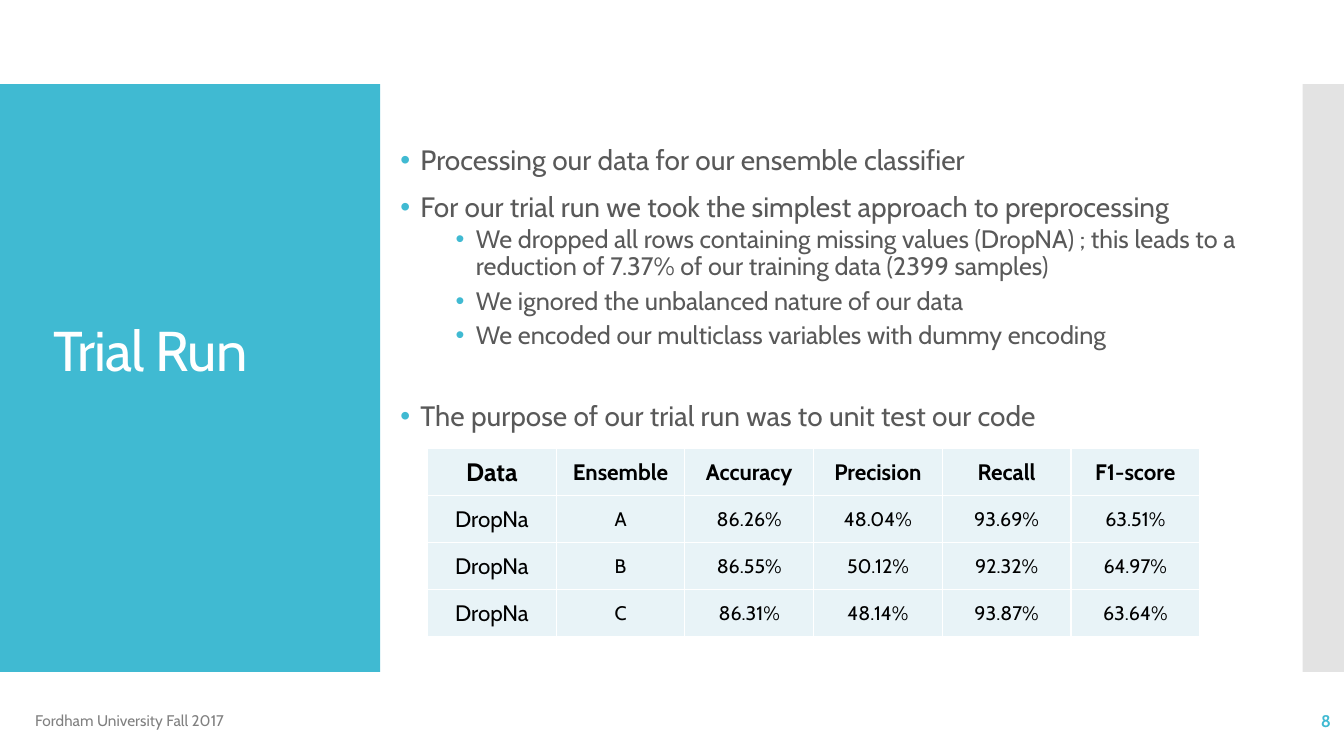
from lxml.etree import SubElement
from pptx import Presentation
from pptx.dml.color import RGBColor
from pptx.enum.shapes import MSO_SHAPE
from pptx.enum.text import MSO_ANCHOR, PP_ALIGN
from pptx.oxml.ns import qn
from pptx.util import Inches, Pt

FONT = "Cabin"
TEAL = RGBColor(0x40, 0xBA, 0xD2)
GREY_BAND = RGBColor(0xC8, 0xC8, 0xC8)
BODY_GREY = RGBColor(0x59, 0x59, 0x59)
FOOTER_GREY = RGBColor(0x80, 0x80, 0x80)
CELL_TINT = RGBColor(0xE8, 0xF3, 0xF7)
WHITE = RGBColor(0xFF, 0xFF, 0xFF)
BLACK = RGBColor(0, 0, 0)

TITLE = "Trial Run"
FOOTER = "Fordham University Fall 2017"
PAGE = "8"
# level, space before in points, text
BULLETS = [
    (0, 12, "Processing our data for our ensemble classifier"),
    (0, 12, "For our trial run we took the simplest approach to preprocessing"),
    (1, 2.5, "We dropped all rows containing missing values (DropNA) ; this leads to a "
             "reduction of 7.37% of our training data (2399 samples)"),
    (1, 2.5, "We ignored the unbalanced nature of our data"),
    (1, 2.5, "We encoded our multiclass variables with dummy encoding"),
    (0, 35, "The purpose of our trial run was to unit test our code"),
]
LEVELS = [dict(size=20, margin=0.2, after=0), dict(size=18, margin=0.75, after=2.5)]
HANGING = 0.2
RESULTS = [
    ("Data", "Ensemble", "Accuracy", "Precision", "Recall", "F1-score"),
    ("DropNa", "A", "86.26%", "48.04%", "93.69%", "63.51%"),
    ("DropNa", "B", "86.55%", "50.12%", "92.32%", "64.97%"),
    ("DropNa", "C", "86.31%", "48.14%", "93.87%", "63.64%"),
]

WIDTH, HEIGHT = 13.33, 7.5
BAND_TOP, BAND_HEIGHT = HEIGHT / 9, HEIGHT * 7 / 9
FOOTER_TOP, FOOTER_HEIGHT = 6.95, 0.4
TABLE_BOX = (4.24, 4.45, 7.66, 1.87)


def add_band(slide, left, width, color, opacity=100):
    sp = slide.shapes.add_shape(MSO_SHAPE.RECTANGLE, Inches(left), Inches(BAND_TOP),
                                Inches(width), Inches(BAND_HEIGHT))
    sp.shadow.inherit = False
    sp.line.fill.background()
    sp.fill.solid()
    sp.fill.fore_color.rgb = color
    if opacity < 100:
        clr = sp.fill._xPr.find(qn("a:solidFill"))[0]
        SubElement(clr, qn("a:alpha")).set("val", str(opacity * 1000))


def add_box(slide, box, anchor=MSO_ANCHOR.MIDDLE, **margins):
    tf = slide.shapes.add_textbox(*map(Inches, box)).text_frame
    tf.word_wrap = True
    tf.vertical_anchor = anchor
    for side, inset in margins.items():
        setattr(tf, f"margin_{side}", Inches(inset))
    return tf


def write(p, text, size, color, bold=False, **layout):
    r = p.add_run()
    r.text = text
    for name, value in dict(name=FONT, size=Pt(size), bold=bold).items():
        setattr(r.font, name, value)
    r.font.color.rgb = color
    for name, value in layout.items():
        setattr(p, name, value)
    return r


def add_bullet(p, margin):
    pPr = p._p.get_or_add_pPr()
    pPr.set("marL", str(Inches(margin)))
    pPr.set("indent", str(-Inches(HANGING)))
    SubElement(SubElement(pPr, qn("a:buClr")), qn("a:srgbClr")).set("val", str(TEAL))
    SubElement(pPr, qn("a:buFont")).set("typeface", "Arial")
    SubElement(pPr, qn("a:buChar")).set("char", "•")


def add_borders(cell):
    """Put a thin white line on each side, ahead of the cell's fill."""
    tcPr = cell._tc.get_or_add_tcPr()
    for i, side in enumerate(("lnL", "lnR", "lnT", "lnB")):
        ln = SubElement(tcPr, qn(f"a:{side}"))
        ln.set("w", str(Pt(1)))
        SubElement(SubElement(ln, qn("a:solidFill")), qn("a:srgbClr")).set("val", str(WHITE))
        tcPr.insert(i, ln)


def add_results(slide):
    rows, cols = len(RESULTS), len(RESULTS[0])
    left, top, width, height = map(Inches, TABLE_BOX)
    table = slide.shapes.add_table(rows, cols, left, top, width, height).table
    for column in table.columns:
        column.width = width // cols
    for i, values in enumerate(RESULTS):
        table.rows[i].height = height // rows
        for j, value in enumerate(values):
            cell = table.cell(i, j)
            for side, inset in dict(left=0.01, right=0.01, top=0.01, bottom=0).items():
                setattr(cell, f"margin_{side}", Inches(inset))
            cell.vertical_anchor = MSO_ANCHOR.MIDDLE
            cell.fill.solid()
            cell.fill.fore_color.rgb = CELL_TINT
            add_borders(cell)
            size = 14 + 2 * (i == 0) + 2 * (j == 0)
            write(cell.text_frame.paragraphs[0], value, size, BLACK, bold=i == 0,
                  alignment=PP_ALIGN.CENTER)


def main():
    prs = Presentation()
    prs.slide_width, prs.slide_height = Inches(WIDTH), Inches(HEIGHT)
    slide = prs.slides.add_slide(prs.slide_layouts[6])

    add_band(slide, 0, 3.77, TEAL)
    add_band(slide, WIDTH - 0.41, 0.41, GREY_BAND, opacity=50)

    tf = add_box(slide, (0.48, 2.48, 2.79, 2.66), left=0.05, bottom=0.65)
    r = write(tf.paragraphs[0], TITLE, 40, WHITE, line_spacing=0.9)
    r.font._element.set("spc", "-60")

    tf = add_box(slide, (3.97, 1.35, 8.45, 4.98), MSO_ANCHOR.TOP, left=0, right=0, top=0.1)
    for i, (level, before, text) in enumerate(BULLETS):
        p = tf.add_paragraph() if i else tf.paragraphs[0]
        style = LEVELS[level]
        write(p, text, style["size"], BODY_GREY, level=level, line_spacing=0.9,
              space_before=Pt(before), space_after=Pt(style["after"]))
        add_bullet(p, style["margin"])

    tf = add_box(slide, (0.25, FOOTER_TOP, 2.24, FOOTER_HEIGHT))
    write(tf.paragraphs[0], FOOTER, 11, FOOTER_GREY)
    tf = add_box(slide, (11.63, FOOTER_TOP, 1.67, FOOTER_HEIGHT))
    write(tf.paragraphs[0], PAGE, 12, TEAL, bold=True, alignment=PP_ALIGN.RIGHT)

    add_results(slide)
    prs.save("out.pptx")


if __name__ == "__main__":
    main()
